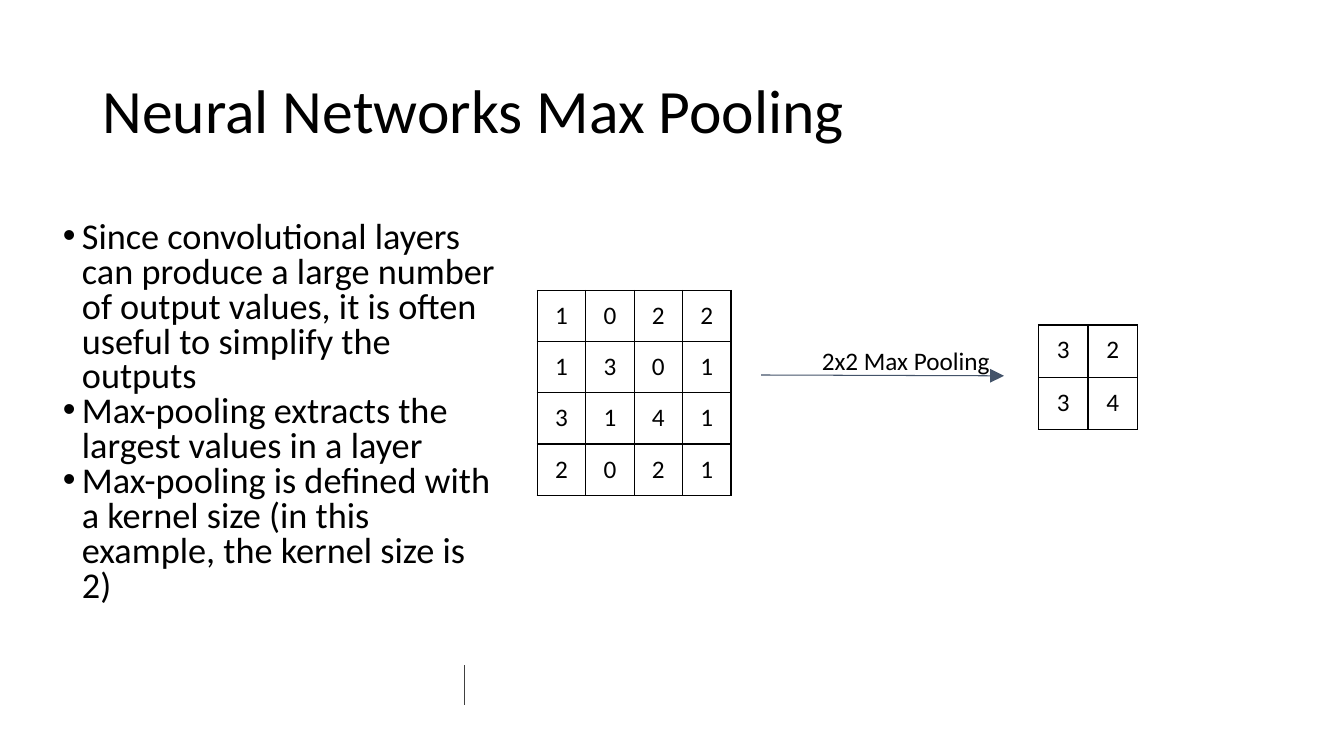
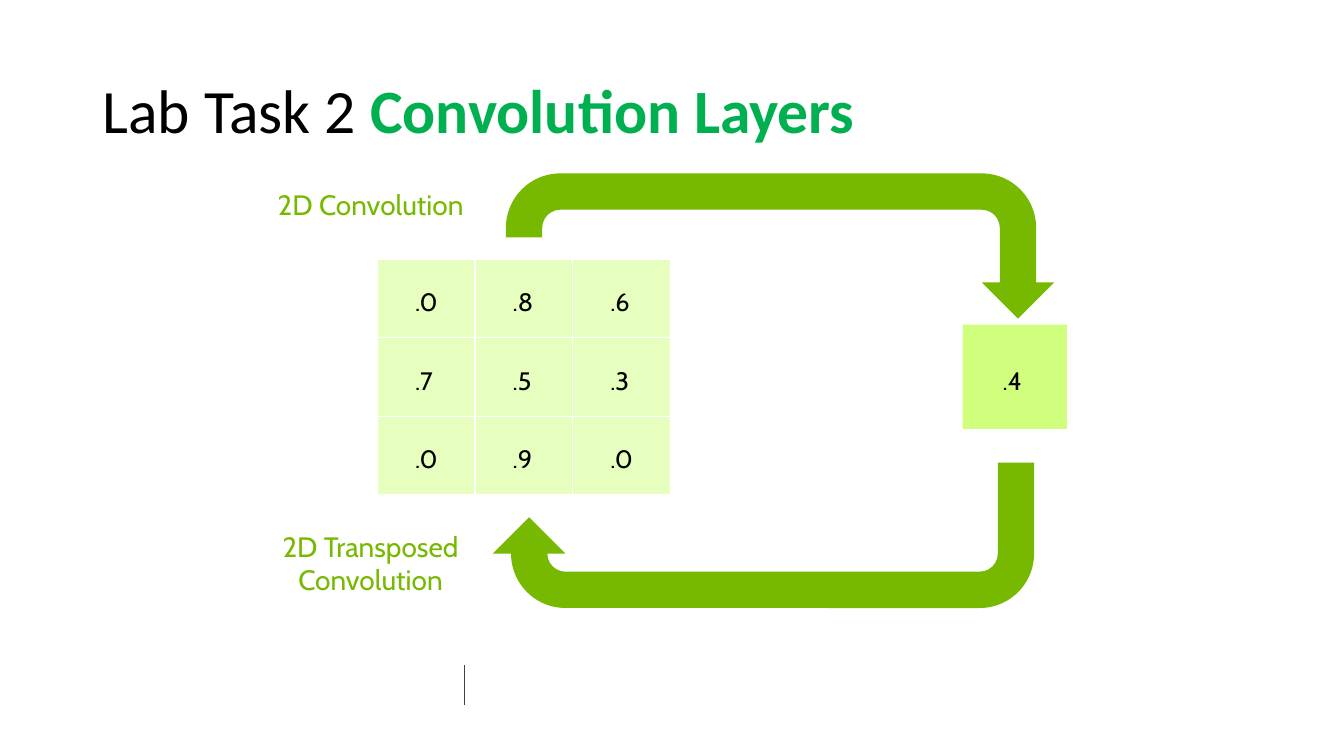
"""Build two slides on max pooling and convolution layers."""
from lxml import etree
from pptx import Presentation
from pptx.dml.color import RGBColor
from pptx.enum.shapes import MSO_CONNECTOR, MSO_SHAPE
from pptx.enum.text import MSO_ANCHOR, MSO_AUTO_SIZE, PP_ALIGN
from pptx.oxml.ns import qn
from pptx.util import Cm, Pt

LEFT, CENTER = PP_ALIGN.LEFT, PP_ALIGN.CENTER
TOP, MIDDLE = MSO_ANCHOR.TOP, MSO_ANCHOR.MIDDLE
NO_AUTOFIT = MSO_AUTO_SIZE.NONE
STRAIGHT = MSO_CONNECTOR.STRAIGHT
RECTANGLE, U_TURN = MSO_SHAPE.RECTANGLE, MSO_SHAPE.U_TURN_ARROW

BLACK = RGBColor(0x00, 0x00, 0x00)
WHITE = RGBColor(0xFF, 0xFF, 0xFF)
DARK_GRAY = RGBColor(0x40, 0x40, 0x40)
SLATE = RGBColor(0x44, 0x54, 0x6A)
EMERALD = RGBColor(0x00, 0xB0, 0x50)
GREEN = RGBColor(0x76, 0xB9, 0x00)
PALE_GREEN = RGBColor(0xE7, 0xFF, 0xBE)
LIGHT_GREEN = RGBColor(0xD0, 0xFF, 0x7D)

TITLE_FONT = dict(name="Calibri", size=Pt(44), color=BLACK, bold=False)
ACCENT_FONT = dict(TITLE_FONT, color=EMERALD, bold=True)
BODY_FONT = dict(name="Calibri", size=Pt(25.9), color=BLACK)
POOLING_FONT = dict(name="Calibri", size=Pt(18), color=BLACK)
KERNEL_FONT = dict(name="Cabin", size=Pt(18), color=BLACK)
LABEL_FONT = dict(name="Cabin", size=Pt(20), color=GREEN)

POOLING_TITLE = [("Neural Networks Max Pooling", TITLE_FONT)]
POOLING_POINTS = [
    "Since convolutional layers can produce a large number of output values, "
    "it is often useful to simplify the outputs",
    "Max-pooling extracts the largest values in a layer",
    "Max-pooling is defined with a kernel size (in this example, the kernel size is 2)",
]
POOLING_LABEL = "2x2 Max Pooling"
POOLING_INPUT = ["1022", "1301", "3141", "2021"]
POOLING_OUTPUT = ["32", "34"]

CONVOLUTION_TITLE = [("Lab Task 2 ", TITLE_FONT), ("Convolution Layers", ACCENT_FONT)]
KERNEL = [(".0", ".8", ".6"), (".7", ".5", ".3"), (".0", ".9", ".0")]
KERNEL_RESULT = ".4"
KERNEL_LABELS = [("2D Convolution", 4.72), ("2D Transposed Convolution", 13.34)]
KERNEL_LEFT, KERNEL_TOP = 9.51, 6.53
CELL_WIDTH, CELL_HEIGHT = 2.46, 1.98
U_TURNS = [
    dict(box=(12.75, 4.37, 13.82, 3.66), tip=1, rotation=0),
    dict(box=(12.42, 11.66, 13.64, 3.66), tip=0.625, rotation=180),
]


def place(shape, left, top, width, height):
    """Move and size a shape, in centimetres."""
    box = dict(left=left, top=top, width=width, height=height)
    for name, value in box.items():
        setattr(shape, name, Cm(value))


def set_margins(frame, left, top, right, bottom):
    """Set the inner margins of a cell or text frame, in centimetres."""
    margins = dict(left=left, top=top, right=right, bottom=bottom)
    for name, value in margins.items():
        setattr(frame, f"margin_{name}", Cm(value))


def write(paragraph, runs, **paragraph_format):
    """Fill a paragraph with formatted runs."""
    for name, value in paragraph_format.items():
        setattr(paragraph, name, value)
    for text, font_format in runs:
        run = paragraph.add_run()
        run.text = text
        for name, value in font_format.items():
            if name == "color":
                run.font.color.rgb = value
            else:
                setattr(run.font, name, value)


def prepare_frame(shape, anchor):
    """Give a shape a wrapping text frame of fixed size."""
    frame = shape.text_frame
    frame_format = dict(word_wrap=True, auto_size=NO_AUTOFIT, vertical_anchor=anchor)
    for name, value in frame_format.items():
        setattr(frame, name, value)
    return frame


def add_label(slide, text, font, box, alignment, margin):
    """Add a text box with one paragraph."""
    frame = prepare_frame(slide.shapes.add_textbox(*map(Cm, box)), TOP)
    set_margins(frame, *(margin,) * 4)
    write(frame.paragraphs[0], [(text, font)], alignment=alignment)


def add_line(slide, start, end, color, width, arrow=False):
    """Draw a straight line, with an arrowhead on request."""
    line = slide.shapes.add_connector(STRAIGHT, *map(Cm, start + end))
    line.line.color.rgb = color
    line.line.width = Pt(width)
    properties = line._element.spPr
    if arrow:
        head = dict(type="triangle", w="lg", len="lg")
        etree.SubElement(properties.find(qn("a:ln")), qn("a:tailEnd"), head)
    etree.SubElement(properties, qn("a:effectLst"))


def add_filled(slide, kind, box, color):
    """Add a preset shape with a plain fill."""
    shape = slide.shapes.add_shape(kind, *map(Cm, box))
    shape.shadow.inherit = False
    shape.fill.solid()
    shape.fill.fore_color.rgb = color
    shape.line.fill.background()
    return shape


def add_borders(cell, color):
    """Draw a one-point border on the four sides of a cell."""
    for side in ("lnL", "lnR", "lnT", "lnB"):
        border = etree.SubElement(cell._tc.get_or_add_tcPr(), qn(f"a:{side}"), w=str(Pt(1)))
        solid = etree.SubElement(border, qn("a:solidFill"))
        etree.SubElement(solid, qn("a:srgbClr"), val=str(color))


def add_grid(slide, rows, left, top, cell_width, cell_height):
    """Add a table of equal bordered cells."""
    columns = len(rows[0])
    size = left, top, columns * cell_width, len(rows) * cell_height
    table = slide.shapes.add_table(len(rows), columns, *map(Cm, size)).table
    table.first_row = table.horz_banding = False
    for column in table.columns:
        column.width = Cm(cell_width)
    for row, values in zip(table.rows, rows):
        row.height = Cm(cell_height)
        for cell, value in zip(row.cells, values):
            add_borders(cell, BLACK)
            cell.fill.background()
            set_margins(cell, *(0.25,) * 4)
            write(cell.text_frame.paragraphs[0], [(value, POOLING_FONT)], alignment=CENTER)


def add_kernel_cell(slide, value, box, color, inset_left, inset_top):
    """Add a filled cell with its value at a fixed inset."""
    frame = prepare_frame(add_filled(slide, RECTANGLE, box, color), TOP)
    set_margins(frame, inset_left, inset_top, 0, 0)
    write(frame.paragraphs[0], [(value, KERNEL_FONT)], alignment=LEFT, line_spacing=1.07)


def add_kernel(slide):
    """Draw the kernel cells and the white rules between them."""
    for row, values in enumerate(KERNEL):
        for column, value in enumerate(values):
            left = KERNEL_LEFT + column * CELL_WIDTH
            top = KERNEL_TOP + row * CELL_HEIGHT
            box = left, top, CELL_WIDTH, CELL_HEIGHT
            add_kernel_cell(slide, value, box, PALE_GREEN, 0.95, 0.64)
    count = len(KERNEL)
    right = KERNEL_LEFT + count * CELL_WIDTH
    bottom = KERNEL_TOP + count * CELL_HEIGHT
    for index in range(count + 1):
        x = KERNEL_LEFT + index * CELL_WIDTH
        y = KERNEL_TOP + index * CELL_HEIGHT
        add_line(slide, (x, KERNEL_TOP), (x, bottom), WHITE, 1)
        add_line(slide, (KERNEL_LEFT, y), (right, y), WHITE, 1)


def add_slide(presentation, layout_name, title_runs):
    """Start a slide with the shared title and footer rule."""
    slide = presentation.slides.add_slide(presentation.slide_layouts.get_by_name(layout_name))
    title = slide.shapes.title
    place(title, 2.33, 1.01, 29.21, 3.68)
    frame = prepare_frame(title, MIDDLE)
    write(frame.paragraphs[0], title_runs, alignment=LEFT, line_spacing=0.9)
    add_line(slide, (11.71, 16.76), (11.71, 17.76), DARK_GRAY, 1)
    return slide


def add_bullets(body, points):
    """Fill the body placeholder with a bulleted list."""
    place(body, 1.33, 5.46, 11.43, 10.7)
    frame = prepare_frame(body, TOP)
    for index, point in enumerate(points):
        paragraph = frame.add_paragraph() if index else frame.paragraphs[0]
        properties = paragraph._p.get_or_add_pPr()
        properties.set("marL", str(Cm(0.48)))
        properties.set("indent", str(-Cm(0.48)))
        etree.SubElement(properties, qn("a:buFont"), typeface="Arial")
        etree.SubElement(properties, qn("a:buChar"), char="•")
        write(paragraph, [(point, BODY_FONT)], line_spacing=0.8, space_before=Pt(0))


def build_pooling(presentation):
    """Build the max pooling slide."""
    slide = add_slide(presentation, "Title and Content", POOLING_TITLE)
    add_bullets(slide.placeholders[1], POOLING_POINTS)
    add_grid(slide, POOLING_INPUT, 13.54, 7.32, 1.22, 1.29)
    add_grid(slide, POOLING_OUTPUT, 26.17, 8.19, 1.25, 1.32)
    add_line(slide, (19.18, 9.45), (25.3, 9.47), SLATE, 0.75, arrow=True)
    add_label(slide, POOLING_LABEL, POOLING_FONT, (20.46, 8.46, 5.05, 0.81), LEFT, 0.25)


def build_convolution(presentation):
    """Build the convolution layers slide."""
    slide = add_slide(presentation, "Title Only", CONVOLUTION_TITLE)
    for turn in U_TURNS:
        arrow = add_filled(slide, U_TURN, turn["box"], GREEN)
        arrow.rotation = turn["rotation"]
        for index, value in enumerate((0.25, 0.25, 0.25, 0.375, turn["tip"])):
            arrow.adjustments[index] = value
    add_filled(slide, RECTANGLE, (11.89, 5.98, 3.02, 0.74), WHITE)
    add_kernel(slide)
    add_kernel_cell(slide, KERNEL_RESULT, (24.26, 8.18, 2.63, 2.63), LIGHT_GREEN, 1.01, 0.97)
    for text, top in KERNEL_LABELS:
        add_label(slide, text, LABEL_FONT, (6.74, top, 5.2, 1.09), CENTER, 0)


def main():
    """Create and save the presentation."""
    presentation = Presentation()
    presentation.slide_width = Cm(33.87)
    presentation.slide_height = Cm(19.05)
    build_pooling(presentation)
    build_convolution(presentation)
    presentation.save("out.pptx")


if __name__ == "__main__":
    main()
